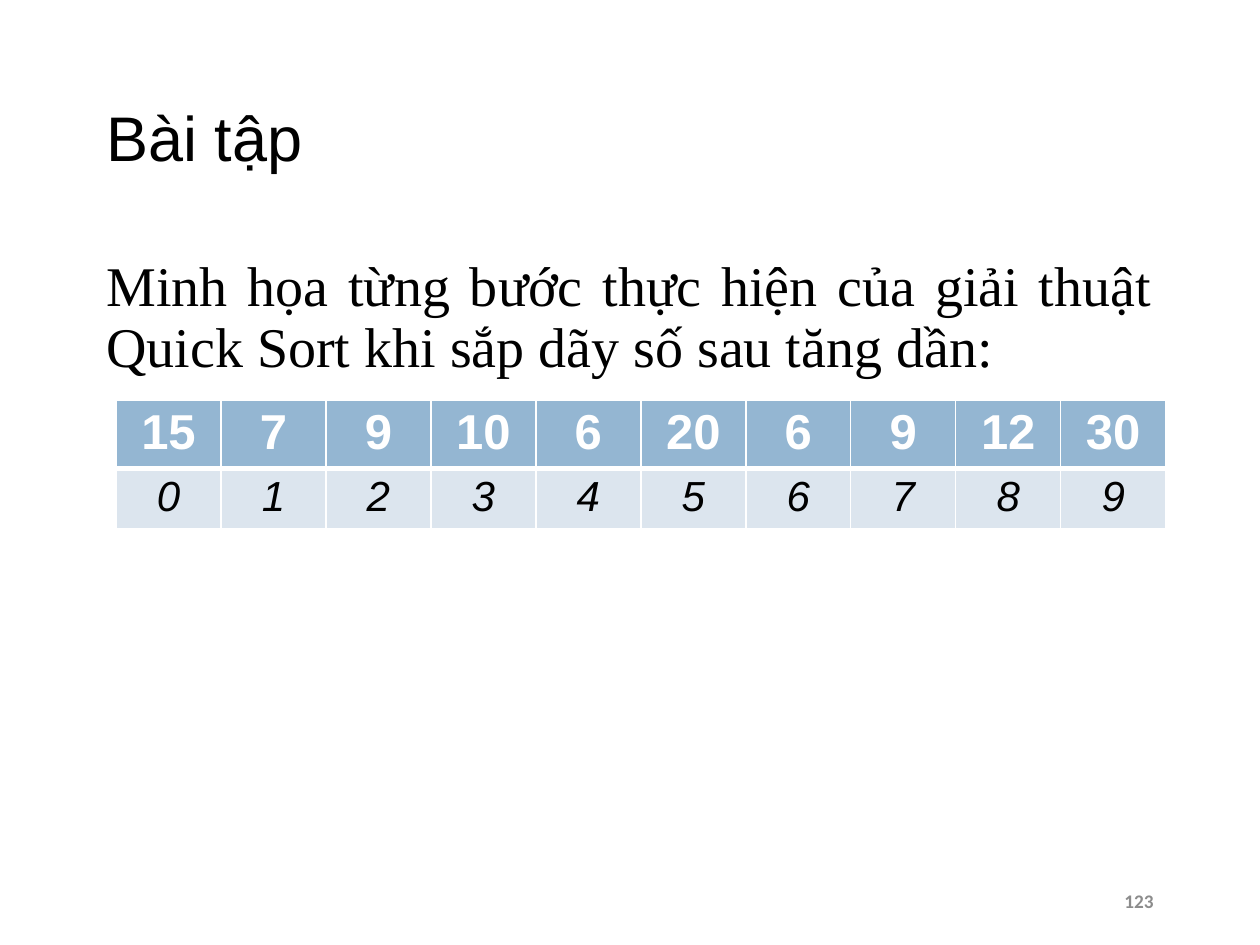
from lxml import etree
from pptx import Presentation
from pptx.dml.color import RGBColor
from pptx.enum.text import MSO_ANCHOR, PP_ALIGN
from pptx.oxml.ns import qn
from pptx.util import Emu, Pt

LEFT, CENTER, RIGHT, JUSTIFY = (
    PP_ALIGN.LEFT, PP_ALIGN.CENTER, PP_ALIGN.RIGHT, PP_ALIGN.JUSTIFY)
TOP, MIDDLE = MSO_ANCHOR.TOP, MSO_ANCHOR.MIDDLE
PX = 914400 // 126

# text, box (left, top, width, height), anchor, alignment, line spacing, font
TEXTS = [
    ("Bài tập", (94, 50, 1071, 183), MIDDLE, LEFT, 0.9,
     dict(name="Arial", size=36, color="000000")),
    ("Minh họa từng bước thực hiện của giải thuật Quick Sort "
     "khi sắp dãy số sau tăng dần:", (94, 252, 1071, 600), TOP, JUSTIFY, 0.9,
     dict(name="Times New Roman", size=32, color="000000")),
    ("123", (882, 876, 284, 50), MIDDLE, RIGHT, 1.0,
     dict(name="Calibri", size=11, color="8C8C8C", bold=True)),
]

NUMBERS = [15, 7, 9, 10, 6, 20, 6, 9, 12, 30]
# values, row height, fill, bottom border in points, font
ROWS = [
    (NUMBERS, 66, "94B6D2", 3,
     dict(name="Arial", size=28, color="FFFFFF", bold=True)),
    (range(len(NUMBERS)), 59, "DCE5EE", 1,
     dict(name="Arial", size=24, color="000000", italic=True)),
]
TABLE_LEFT, TABLE_TOP, COLUMN_WIDTH = 116, 400, 105
CELL_MARGIN_Y = 5
BORDER_COLOR = "FFFFFF"


def px(n):
    return Emu(n * PX)


def rgb(value):
    return RGBColor.from_string(value)


def set_text(tf, text, align, name, size, color, bold=False, italic=False):
    tf.text = text
    p = tf.paragraphs[0]
    p.alignment = align
    font = p.runs[0].font
    font.name, font.size = name, Pt(size)
    font.bold, font.italic = bold, italic
    font.color.rgb = rgb(color)
    return p


def add_text(slide, text, box, anchor, align, spacing, font):
    tf = slide.shapes.add_textbox(*map(px, box)).text_frame
    tf.word_wrap = True
    tf.vertical_anchor = anchor
    set_text(tf, text, align, **font).line_spacing = spacing


def set_borders(cell, widths):
    """Draw the left, right, top and bottom borders, with widths in points."""
    tcPr = cell._tc.get_or_add_tcPr()
    for i, (side, width) in enumerate(zip("LRTB", widths)):
        ln = etree.Element(qn(f"a:ln{side}"), w=str(Pt(width)))
        fill = etree.SubElement(ln, qn("a:solidFill"))
        etree.SubElement(fill, qn("a:srgbClr"), val=BORDER_COLOR)
        tcPr.insert(i, ln)


def add_number_table(slide):
    columns = len(NUMBERS)
    height = sum(row[1] for row in ROWS)
    table = slide.shapes.add_table(
        len(ROWS), columns, px(TABLE_LEFT), px(TABLE_TOP),
        px(columns * COLUMN_WIDTH), px(height)).table
    for column in table.columns:
        column.width = px(COLUMN_WIDTH)
    top_border = 1
    for row, (values, row_height, fill, bottom_border, font) in zip(table.rows, ROWS):
        row.height = px(row_height)
        for cell, value in zip(row.cells, values):
            cell.margin_top = cell.margin_bottom = px(CELL_MARGIN_Y)
            cell.fill.solid()
            cell.fill.fore_color.rgb = rgb(fill)
            set_text(cell.text_frame, str(value), CENTER, **font)
            set_borders(cell, (1, 1, top_border, bottom_border))
        top_border = bottom_border


def main():
    prs = Presentation()
    prs.slide_width, prs.slide_height = px(1260), px(945)
    slide = prs.slides.add_slide(prs.slide_layouts[6])
    for item in TEXTS:
        add_text(slide, *item)
    add_number_table(slide)
    prs.save("out.pptx")


if __name__ == "__main__":
    main()
